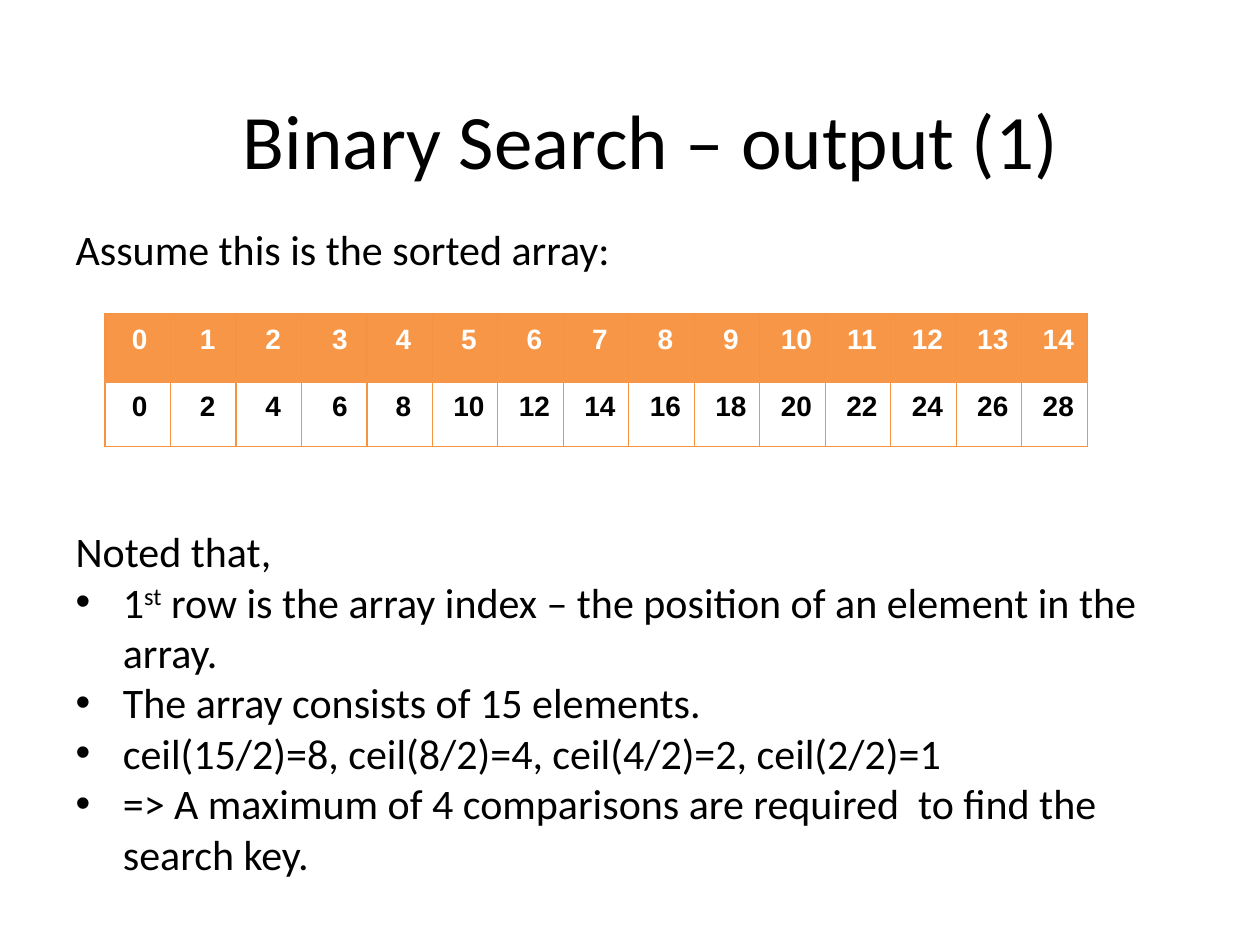
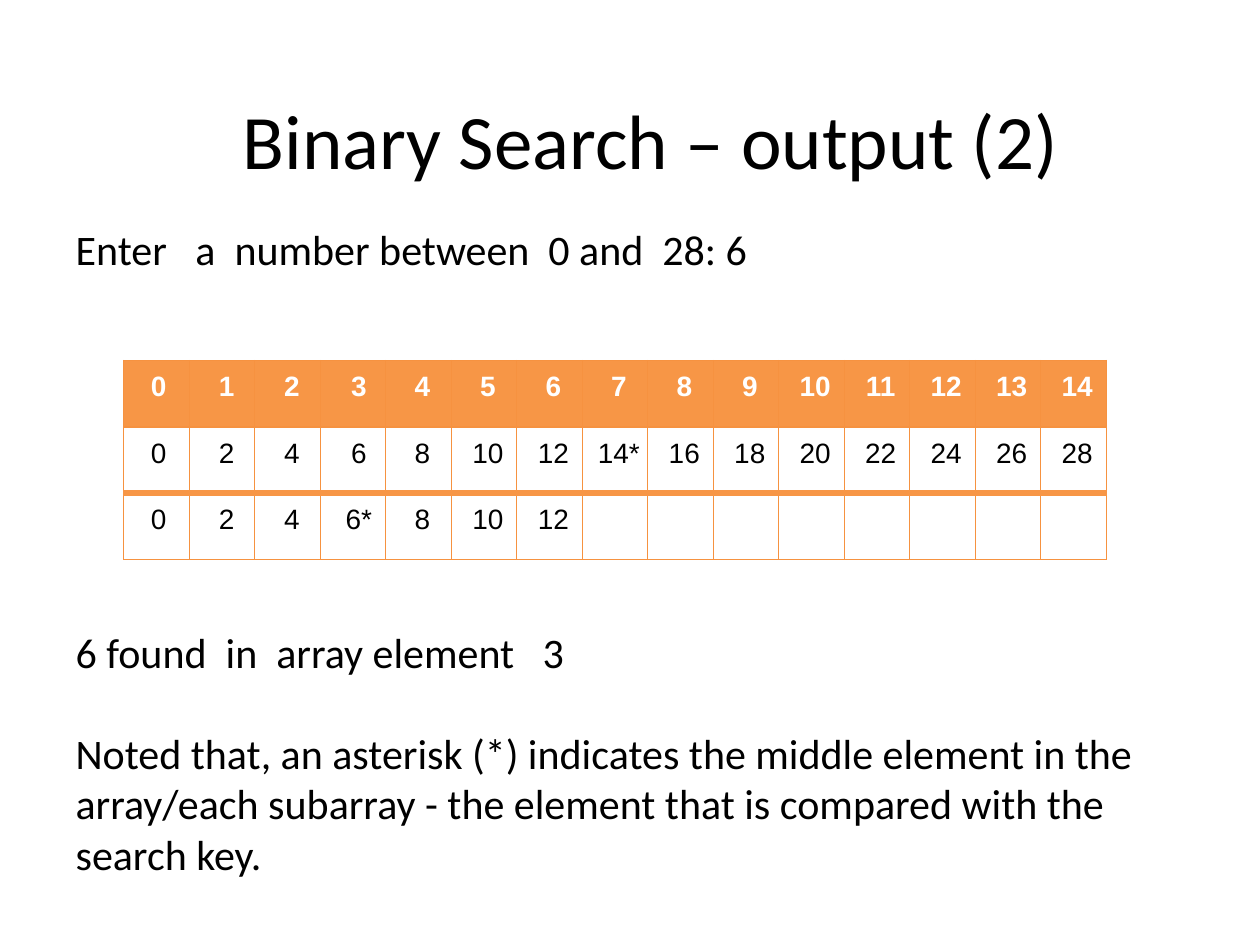
from pptx import Presentation
from pptx.dml.color import RGBColor
from pptx.enum.text import MSO_ANCHOR, MSO_AUTO_SIZE, PP_ALIGN
from pptx.oxml.ns import qn
from pptx.util import Pt
from lxml.etree import SubElement

BLACK, WHITE, ORANGE, BORDER = "000000", "FFFFFF", "F79646", "F69240"
TEXT_FONT, TABLE_FONT = "Calibri", "Arial"
TITLE_BOX = (48, 34, 648, 90)
BODY_BOX = (36, 124, 648, 396)
BODY_LINE = 28.8
BULLET_INDENT = 27
COLUMN_WIDTH, ROW_HEIGHT = 37.44, 38
THIN, THICK = 0.75, 4

indexes = [str(index) for index in range(15)]
values = [str(2 * index) for index in range(15)]
first_pass = [value + "*" if value == "14" else value for value in values]
second_pass = [value + "*" if value == "6" else value for value in values[:7]] + [""] * 8
cell_indents = [2.16, 5, 5, 6.5] + [4.3] * 11

# Each body item: text pieces, blank lines above it, bulleted or not.
SLIDES = [
    {
        "title": "Binary Search – output (1)",
        "body": [
            (["Assume this is the sorted array:"], 0, False),
            (["Noted that,"], 5, False),
            (["1", "st", " row is the array index – the position of an element in the array."], 0, True),
            (["The array consists of 15 elements."], 0, True),
            (["ceil(15/2)=8, ceil(8/2)=4, ceil(4/2)=2, ceil(2/2)=1"], 0, True),
            (["=> A maximum of 4 comparisons are required  to find the search key."], 0, True),
        ],
        "rows": [indexes, values],
        "origin": (60, 179.3),
        "bold_values": True,
        "thick_rule_below": 0,
    },
    {
        "title": "Binary Search – output (2)",
        "body": [
            (["Enter   a  number between  0 and  28: 6"], 0, False),
            (["6 found  in  array element   3"], 7, False),
            (["Noted that, an asterisk (*) indicates the middle element in the "
              "array/each subarray - the element that is compared with the search key."], 1, False),
        ],
        "rows": [indexes, first_pass, second_pass],
        "origin": (70.8, 206),
        "bold_values": False,
        "thick_rule_below": 1,
    },
]


def color(value):
    return RGBColor.from_string(value)


def format_run(run, font, size, value, bold=False):
    run.font.name = font
    run.font.size = Pt(size)
    run.font.bold = bold
    run.font.color.rgb = color(value)


def place(shape, box):
    shape.left, shape.top, shape.width, shape.height = map(Pt, box)
    shape.text_frame.auto_size = MSO_AUTO_SIZE.NONE
    shape.text_frame.word_wrap = True


def indent(paragraph, left, first=0):
    properties = paragraph._p.get_or_add_pPr()
    properties.set("marL", str(Pt(left)))
    properties.set("indent", str(Pt(first)))
    return properties


def add_title(slide, text):
    title = slide.shapes.title
    place(title, TITLE_BOX)
    title.text_frame.text = text
    title.text_frame.vertical_anchor = MSO_ANCHOR.MIDDLE
    paragraph = title.text_frame.paragraphs[0]
    paragraph.alignment = PP_ALIGN.CENTER
    format_run(paragraph.runs[0], TEXT_FONT, 44, BLACK)


def add_body(slide, items):
    body = slide.placeholders[1]
    place(body, BODY_BOX)
    frame = body.text_frame
    for number, (pieces, blank_lines, bulleted) in enumerate(items):
        paragraph = frame.add_paragraph() if number else frame.paragraphs[0]
        paragraph.space_before = Pt(blank_lines * BODY_LINE)
        if bulleted:
            properties = indent(paragraph, BULLET_INDENT, -BULLET_INDENT)
            SubElement(properties, qn("a:buFont"), typeface=TABLE_FONT)
            SubElement(properties, qn("a:buChar"), char="•")
        else:
            SubElement(indent(paragraph, 0), qn("a:buNone"))
        for piece in pieces:
            run = paragraph.add_run()
            run.text = piece
            format_run(run, TEXT_FONT, 24, BLACK)
            if piece == "st":
                run._r.get_or_add_rPr().set("baseline", "30000")


def set_border(cell, side, value, width):
    line = SubElement(cell._tc.get_or_add_tcPr(), qn("a:ln" + side), w=str(Pt(width)))
    fill = SubElement(line, qn("a:solidFill"))
    SubElement(fill, qn("a:srgbClr"), val=value)


def format_cell(cell, row, column, thick_below, bold):
    cell.margin_left = cell.margin_right = cell.margin_top = cell.margin_bottom = 0
    cell.vertical_anchor = MSO_ANCHOR.MIDDLE
    thick_side = {thick_below: "B", thick_below + 1: "T"}.get(row)
    for side in "LRTB":
        if side == thick_side:
            set_border(cell, side, ORANGE, THICK)
        else:
            set_border(cell, side, BORDER, THIN)
    if row == 0:
        cell.fill.solid()
        cell.fill.fore_color.rgb = color(ORANGE)
    else:
        cell.fill.background()
    paragraph = cell.text_frame.paragraphs[0]
    paragraph.alignment = PP_ALIGN.CENTER
    paragraph.line_spacing = Pt(9.6 if row == 2 else 10.1)
    paragraph.space_before = Pt(0 if row == 2 else 4.1)
    indent(paragraph, cell_indents[column])
    for run in paragraph.runs:
        format_run(run, TABLE_FONT, 16, BLACK if row else WHITE, bold or row == 0)


def add_array_table(slide, content):
    rows = content["rows"]
    left, top = content["origin"]
    columns = len(indexes)
    table = slide.shapes.add_table(
        len(rows), columns, Pt(left), Pt(top),
        Pt(columns * COLUMN_WIDTH), Pt(len(rows) * ROW_HEIGHT)).table
    table.horz_banding = False
    for column in table.columns:
        column.width = Pt(COLUMN_WIDTH)
    for row, texts in enumerate(rows):
        table.rows[row].height = Pt(ROW_HEIGHT)
        for column, text in enumerate(texts):
            cell = table.cell(row, column)
            if text:
                cell.text_frame.text = text
            format_cell(cell, row, column, content["thick_rule_below"], content["bold_values"])


presentation = Presentation()
presentation.slide_width, presentation.slide_height = Pt(720), Pt(540)
for content in SLIDES:
    slide = presentation.slides.add_slide(presentation.slide_layouts[1])
    add_title(slide, content["title"])
    add_body(slide, content["body"])
    add_array_table(slide, content)
presentation.save("out.pptx")
